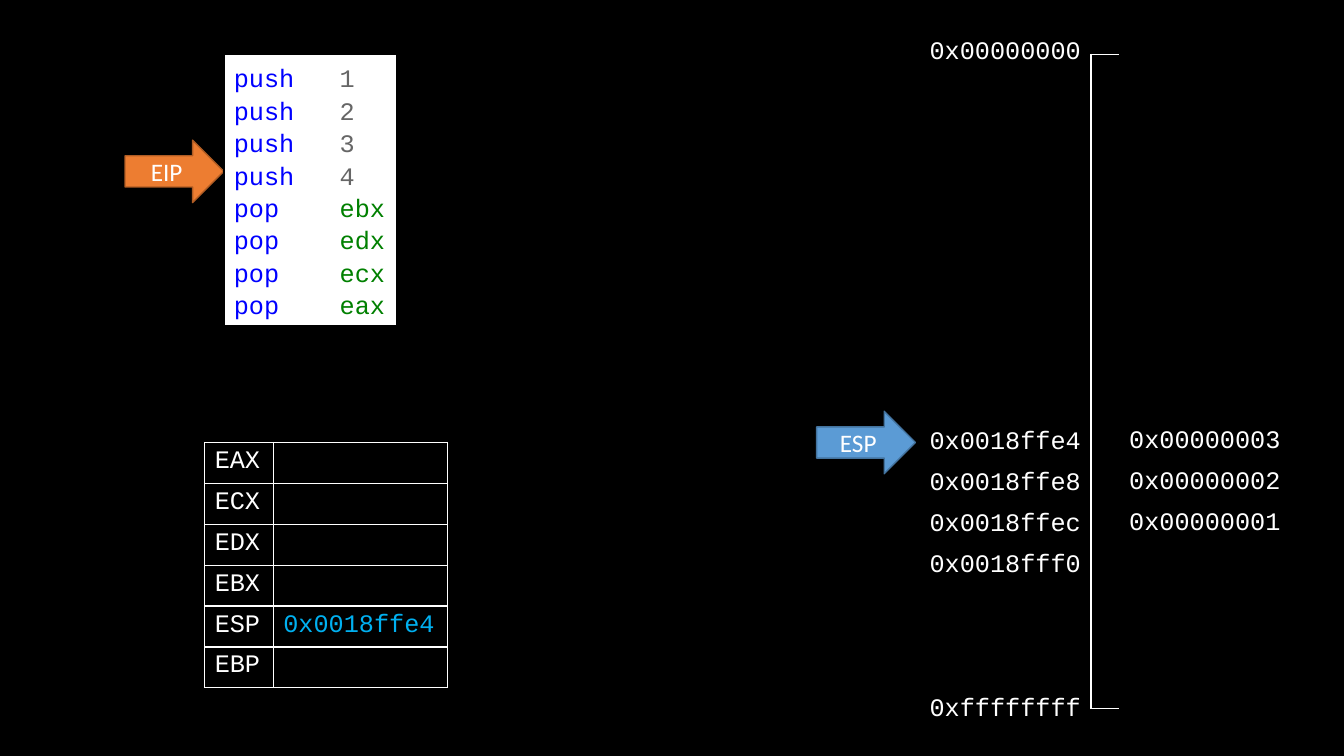
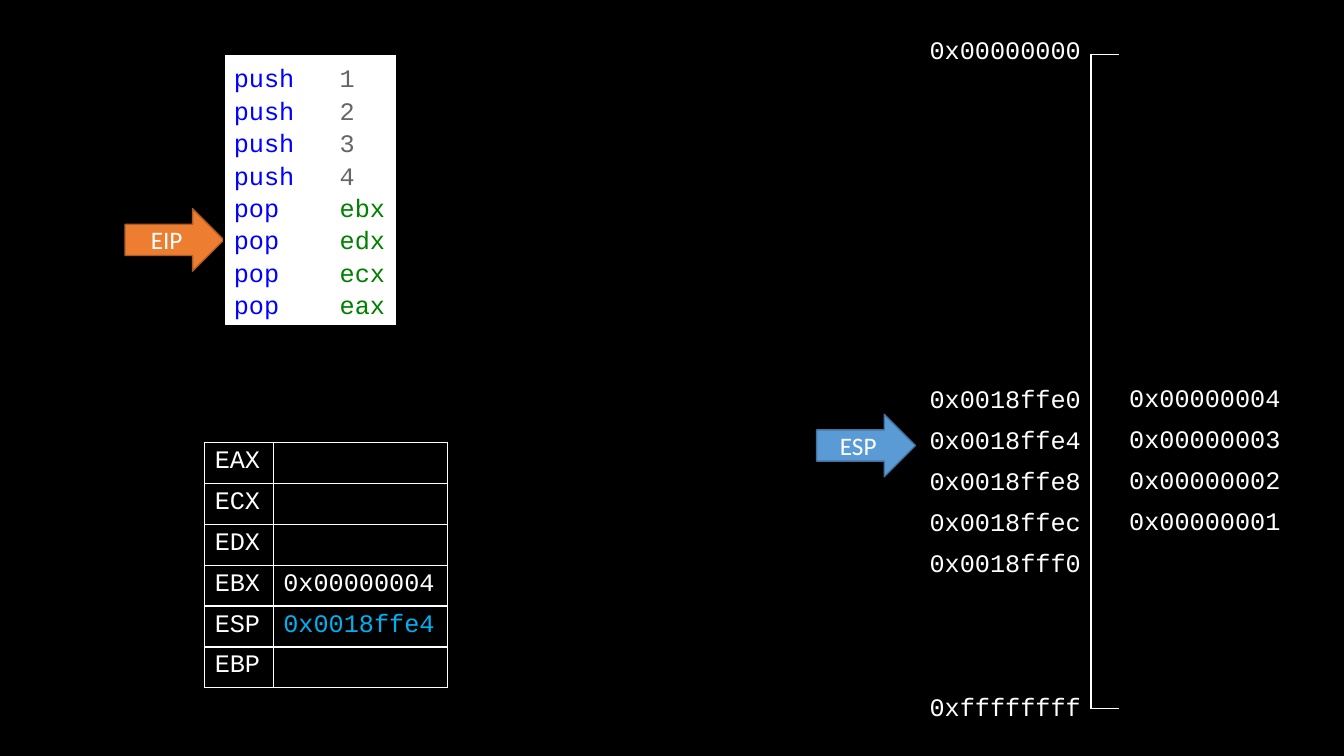
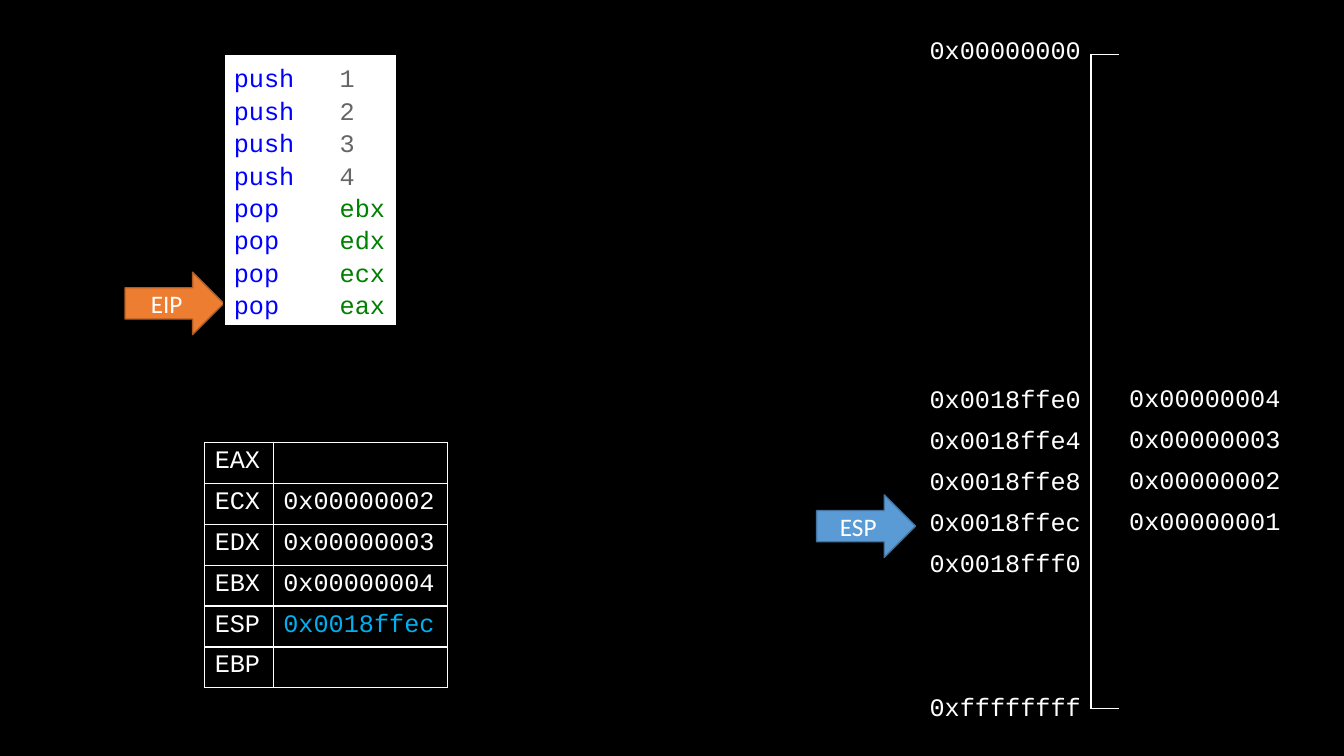
from lxml.etree import SubElement
from pptx import Presentation
from pptx.dml.color import RGBColor
from pptx.enum.shapes import MSO_SHAPE as Shape
from pptx.enum.text import MSO_ANCHOR as Anchor, MSO_AUTO_SIZE as AutoSize, PP_ALIGN as Align
from pptx.oxml.ns import qn
from pptx.util import Inches, Pt

WHITE, BLACK = "FFFFFF", "000000"
KEYWORD, NUMBER, REGISTER, POINTER = "0000FF", "666666", "008000", "00B0F0"
MONO, SANS = "Courier New", "Calibri"
PLAIN_TABLE = "{2D5ABB26-0587-4C30-8999-92F81FD0307C}"

STACK_TOP, STACK_ROWS = 0.54, 16
ROW = 6.49 / STACK_ROWS
EDGE_GAP = 0.22
BASE_ADDRESS, BASE_ROW = 0x0018FFF0, 12
REGISTERS = ["EAX", "ECX", "EDX", "EBX", "ESP", "EBP"]
CODE = [("push   ", str(n), NUMBER) for n in range(1, 5)]
CODE += [("pop    ", name, REGISTER) for name in ("ebx", "edx", "ecx", "eax")]

STEPS = [
    dict(pushed=3, values={"ESP": 0x0018FFE4}, esp_top=4.08, eip_top=1.39),
    dict(pushed=4, values={"EBX": 4, "ESP": 0x0018FFE4}, esp_top=4.11, eip_top=2.07),
    dict(pushed=4, values={"ECX": 2, "EDX": 3, "EBX": 4, "ESP": 0x0018FFEC},
         esp_top=4.91, eip_top=2.7),
]


def rgb(color):
    return RGBColor.from_string(color)


def word(value):
    return f"0x{value:08x}"


def write(frame, lines, font=MONO, size=18, align=Align.LEFT, spacing=None):
    for i, runs in enumerate(lines):
        paragraph = frame.add_paragraph() if i else frame.paragraphs[0]
        paragraph.alignment = align
        if spacing:
            paragraph.line_spacing = spacing
        for text, color in runs:
            run = paragraph.add_run()
            run.text = text
            run.font.name = font
            run.font.size = Pt(size)
            run.font.color.rgb = rgb(color)


def border(cell, sides):
    properties = cell._tc.get_or_add_tcPr()
    for side in "LRTB":
        if side in sides:
            line = SubElement(properties, qn(f"a:ln{side}"), w=str(Pt(1)))
            SubElement(SubElement(line, qn("a:solidFill")), qn("a:srgbClr"), val=WHITE)


def add_grid(slide, left, top, columns, rows, texts, borders=lambda r, c: "",
             align=Align.LEFT, anchor=Anchor.TOP):
    frame = slide.shapes.add_table(len(rows), len(columns), Inches(left), Inches(top),
                                   Inches(sum(columns)), Inches(sum(rows)))
    table = frame.table
    table.first_row = table.horz_banding = False
    table._tbl.tblPr.find(qn("a:tableStyleId")).text = PLAIN_TABLE
    for column, width in zip(table.columns, columns):
        column.width = Inches(width)
    for r, height in enumerate(rows):
        table.rows[r].height = Inches(height)
        for c in range(len(columns)):
            cell = table.cell(r, c)
            border(cell, borders(r, c))
            cell.fill.background()
            cell.vertical_anchor = anchor
            if (r, c) in texts:
                write(cell.text_frame, [[texts[r, c]]], align=align)
            else:
                cell.margin_top = cell.margin_bottom = 0
                SubElement(cell.text_frame.paragraphs[0]._p, qn("a:endParaRPr"), sz="800")


def add_box(slide, kind, left, top, width, height, fill, line):
    box = slide.shapes.add_shape(kind, Inches(left), Inches(top), Inches(width), Inches(height))
    box.shadow.inherit = False
    box.fill.solid()
    box.fill.fore_color.rgb = rgb(fill)
    box.line.color.rgb = rgb(line)
    box.line.width = Pt(1)
    return box


def add_pointer(slide, label, left, top, fill, line):
    arrow = add_box(slide, Shape.RIGHT_ARROW, left, top, 0.98, 0.62, fill, line)
    arrow.text_frame.vertical_anchor = Anchor.MIDDLE
    write(arrow.text_frame, [[(label, WHITE)]], font=SANS, align=Align.CENTER)


def add_stack(slide, pushed):
    def bracket(r, c):
        if c == 0:
            return "L" + {0: "T", STACK_ROWS - 1: "B"}.get(r, "")
        return ""

    values = {(BASE_ROW - n, 1): (word(n), WHITE) for n in range(1, pushed + 1)}
    add_grid(slide, 10.82, STACK_TOP, [0.28, 1.84], [ROW] * STACK_ROWS, values, bracket)


def add_addresses(slide, pushed):
    heights = [ROW, EDGE_GAP] + [ROW] * (STACK_ROWS - 2) + [EDGE_GAP, ROW]
    labels = {(BASE_ROW + 1 - n, 0): (word(BASE_ADDRESS - 4 * n), WHITE)
              for n in range(pushed + 1)}
    labels[0, 0] = (word(0), WHITE)
    labels[len(heights) - 1, 0] = (word(0xFFFFFFFF), WHITE)
    add_grid(slide, 9.08, STACK_TOP - EDGE_GAP, [1.74], heights, labels,
             align=Align.RIGHT, anchor=Anchor.MIDDLE)


def add_registers(slide, values):
    texts = {}
    for r, name in enumerate(REGISTERS):
        texts[r, 0] = (name, WHITE)
        if name in values:
            texts[r, 1] = (word(values[name]), POINTER if name == "ESP" else WHITE)
    add_grid(slide, 2.03, 4.39, [0.68, 1.73], [ROW] * len(REGISTERS), texts,
             lambda r, c: "LRTB")


def add_code(slide):
    listing = add_box(slide, Shape.RECTANGLE, 2.22, STACK_TOP, 1.71, 2.69, WHITE, BLACK)
    frame = listing.text_frame
    frame.word_wrap = False
    frame.auto_size = AutoSize.SHAPE_TO_FIT_TEXT
    write(frame, [[(command, KEYWORD), (operand, color)] for command, operand, color in CODE],
          spacing=1.07)


def main():
    deck = Presentation()
    deck.slide_width, deck.slide_height = Inches(13.33), Inches(7.5)
    backdrop = deck.slide_master.background.fill
    backdrop.solid()
    backdrop.fore_color.rgb = rgb(BLACK)
    for step in STEPS:
        slide = deck.slides.add_slide(deck.slide_layouts[6])
        add_stack(slide, step["pushed"])
        add_addresses(slide, step["pushed"])
        add_registers(slide, step["values"])
        add_pointer(slide, "ESP", 8.1, step["esp_top"], "5B9BD5", "43739E")
        add_pointer(slide, "EIP", 1.24, step["eip_top"], "ED7D31", "AF5C24")
        add_code(slide)
    deck.save("out.pptx")


if __name__ == "__main__":
    main()
